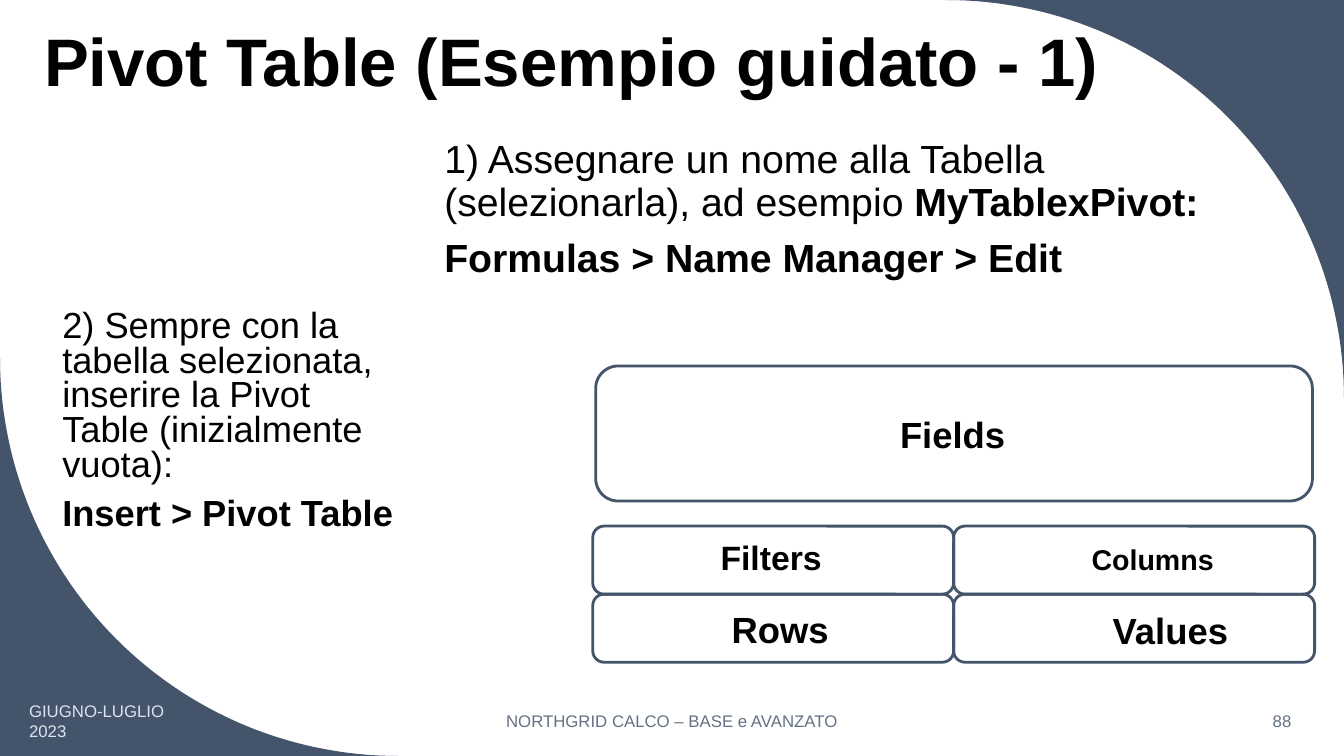
from dataclasses import dataclass
from math import cos, pi, sin

from pptx import Presentation
from pptx.dml.color import RGBColor
from pptx.enum.shapes import MSO_SHAPE
from pptx.enum.text import MSO_ANCHOR, PP_ALIGN
from pptx.slide import Slide
from pptx.util import Pt

ROUNDED = MSO_SHAPE.ROUNDED_RECTANGLE
TOP, MIDDLE, BOTTOM = MSO_ANCHOR.TOP, MSO_ANCHOR.MIDDLE, MSO_ANCHOR.BOTTOM
LEFT, CENTER, RIGHT = PP_ALIGN.LEFT, PP_ALIGN.CENTER, PP_ALIGN.RIGHT

SLIDE_W, SLIDE_H = 960, 540
CORNER_RADIUS = 284.4
ARC_STEPS = 60


@dataclass(frozen=True)
class Theme:
    font: str = "Arial"
    navy: RGBColor = RGBColor(0x44, 0x54, 0x6A)
    black: RGBColor = RGBColor(0, 0, 0)
    pale: RGBColor = RGBColor(0xDA, 0xE5, 0xEF)
    grey: RGBColor = RGBColor(0x63, 0x71, 0x83)
    title: float = 48
    step_one: float = 28
    step_two: float = 25.9
    area: float = 26
    filters: float = 24.1
    columns: float = 20.4
    footer: float = 12


THEME = Theme()


@dataclass(frozen=True)
class Box:
    left: float
    top: float
    width: float
    height: float

    def emu(self) -> tuple[Pt, Pt, Pt, Pt]:
        return Pt(self.left), Pt(self.top), Pt(self.width), Pt(self.height)


@dataclass(frozen=True)
class Run:
    text: str
    bold: bool = False


@dataclass(frozen=True)
class TextBlock:
    box: Box
    paragraphs: list[list[Run]]
    size: float
    color: RGBColor = THEME.black
    align: PP_ALIGN = LEFT
    anchor: MSO_ANCHOR = TOP
    line_spacing: float = 1.0
    space_before: float = 0


def area_label(text: str, box: Box, size: float = THEME.area,
               line_spacing: float = 0.8) -> TextBlock:
    return TextBlock(box, [[Run(text, True)]], size,
                     line_spacing=line_spacing, space_before=10)


def footer(text: str, left: float, width: float, align: PP_ALIGN,
           color: RGBColor = THEME.grey) -> TextBlock:
    return TextBlock(Box(left, 500.4, width, 28.8), [[Run(text)]], THEME.footer,
                     color, align, MIDDLE)


TEXT_BLOCKS = [
    TextBlock(Box(24.5, -28.8, 802, 104.4),
              [[Run("Pivot Table (Esempio guidato - 1)", True)]],
              THEME.title, anchor=BOTTOM, line_spacing=0.9),
    footer("GIUGNO-LUGLIO 2023", 13.7, 133.9, LEFT, THEME.pale),
    footer("NORTHGRID CALCO – BASE e AVANZATO", 318, 324, CENTER),
    footer("88", 799.2, 130.3, RIGHT),
    TextBlock(Box(310.3, 96.5, 597.6, 121),
              [[Run("1) Assegnare un nome alla Tabella (selezionarla), ad esempio "),
                Run("MyTablexPivot:", True)],
               [Run("Formulas > Name Manager > Edit", True)]],
              THEME.step_one, line_spacing=0.9, space_before=10),
    TextBlock(Box(37.4, 218.2, 257.8, 225.4),
              [[Run("2) Sempre con la tabella selezionata, inserire la Pivot "
                    "Table (inizialmente vuota):")],
               [Run("Insert > Pivot Table", True)]],
              THEME.step_two, line_spacing=0.8, space_before=10),
    area_label("Fields", Box(635.8, 296.6, 91.4, 34.6)),
    area_label("Filters", Box(507.6, 388.1, 91.4, 34.6), THEME.filters, 0.7),
    area_label("Columns", Box(772.6, 390.2, 107.3, 33.8), THEME.columns, 0.7),
    area_label("Rows", Box(515.5, 436.3, 107.3, 33.8)),
    area_label("Values", Box(787.7, 437, 107.3, 33.8)),
]

FIELDS_FRAME = Box(425.5, 261.4, 512, 96.5)
CELL = Box(423.4, 375.8, 257.8, 48.6)
AREA_FRAMES = [FIELDS_FRAME] + [
    Box(CELL.left + col * CELL.width, CELL.top + row * CELL.height,
        CELL.width, CELL.height)
    for row in range(2) for col in range(2)
]


def draw_corner(slide: Slide, corner_x: float, corner_y: float,
                center_x: float, center_y: float, start_angle: float) -> None:
    """Fill the area between a slide corner and a quarter circle."""
    angles = [start_angle + pi / 2 * step / ARC_STEPS for step in range(ARC_STEPS + 1)]
    arc = [(Pt(center_x + CORNER_RADIUS * cos(angle)),
            Pt(center_y + CORNER_RADIUS * sin(angle))) for angle in angles]
    builder = slide.shapes.build_freeform(Pt(corner_x), Pt(corner_y))
    builder.add_line_segments(arc, close=True)
    corner = builder.convert_to_shape()
    corner.shadow.inherit = False
    corner.fill.solid()
    corner.fill.fore_color.rgb = THEME.navy
    corner.line.fill.background()


def draw_frame(slide: Slide, box: Box) -> None:
    frame = slide.shapes.add_shape(ROUNDED, *box.emu())
    frame.shadow.inherit = False
    frame.fill.background()
    frame.line.color.rgb = THEME.navy
    frame.line.width = Pt(2)


def draw_text(slide: Slide, block: TextBlock) -> None:
    frame = slide.shapes.add_textbox(*block.box.emu()).text_frame
    frame.word_wrap = True
    frame.vertical_anchor = block.anchor
    for index, runs in enumerate(block.paragraphs):
        paragraph = frame.add_paragraph() if index else frame.paragraphs[0]
        paragraph.alignment = block.align
        paragraph.line_spacing = block.line_spacing
        paragraph.space_before = Pt(block.space_before)
        paragraph.font.name = THEME.font
        paragraph.font.size = Pt(block.size)
        paragraph.font.color.rgb = block.color
        same_weight = len({run.bold for run in runs}) == 1
        if same_weight:
            paragraph.font.bold = runs[0].bold
        for part in runs:
            run = paragraph.add_run()
            run.text = part.text
            if not same_weight:
                run.font.bold = part.bold


def main() -> None:
    presentation = Presentation()
    presentation.slide_width, presentation.slide_height = Pt(SLIDE_W), Pt(SLIDE_H)
    slide = presentation.slides.add_slide(presentation.slide_layouts[6])
    draw_corner(slide, SLIDE_W, 0, SLIDE_W - CORNER_RADIUS, CORNER_RADIUS, -pi / 2)
    draw_corner(slide, 0, SLIDE_H, CORNER_RADIUS, SLIDE_H - CORNER_RADIUS, pi / 2)
    for box in AREA_FRAMES:
        draw_frame(slide, box)
    for block in TEXT_BLOCKS:
        draw_text(slide, block)
    presentation.save("out.pptx")


if __name__ == "__main__":
    main()
